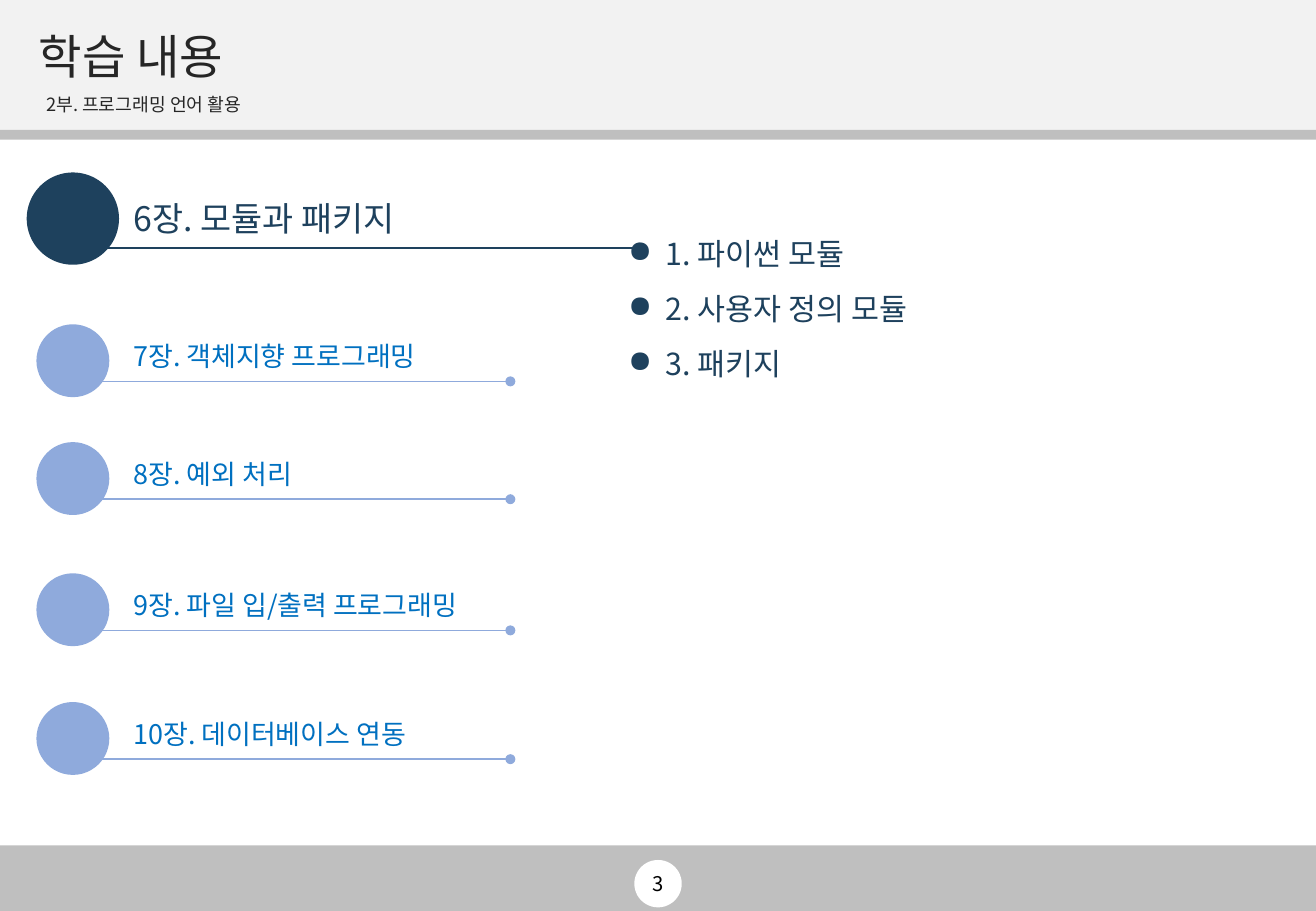
from pptx import Presentation
from pptx import util as u
from pptx.dml.color import RGBColor
from pptx.enum import shapes, text
from pptx.oxml.ns import qn
from lxml import etree

COLORS = {
    "band": "BFBFBF", "header": "F2F2F2", "white": "FFFFFF",
    "navy": "1E415D", "soft_blue": "8FAADC", "link_blue": "0070C0",
    "title": "262626", "black": "000000",
}
WIDTH, HEIGHT = 10.83, 7.5


class SlideBuilder:
    font = "Noto Sans CJK KR"
    insets = (0.1, 0.05, 0.1, 0.05)

    def __init__(self, slide):
        self.slide = slide

    def shape(self, kind, left, top, width, height, color):
        shape = self.slide.shapes.add_shape(
            kind, u.Inches(left), u.Inches(top), u.Inches(width), u.Inches(height))
        shape.shadow.inherit = False
        shape.fill.solid()
        shape.fill.fore_color.rgb = RGBColor.from_string(COLORS[color])
        shape.line.fill.background()

    def band(self, top, height, color):
        self.shape(shapes.MSO_SHAPE.RECTANGLE, 0, top, WIDTH, height, color)

    def circle(self, left, top, size, color):
        self.shape(shapes.MSO_SHAPE.OVAL, left, top, size, size, color)

    def dotted_end_line(self, left, right, y, color):
        line = self.slide.shapes.add_connector(
            shapes.MSO_CONNECTOR.STRAIGHT,
            u.Inches(left), u.Inches(y), u.Inches(right), u.Inches(y))
        line.line.color.rgb = RGBColor.from_string(COLORS[color])
        line.line.width = u.Pt(1)
        outline = line.line._get_or_add_ln()
        etree.SubElement(outline, qn("a:tailEnd"), type="oval")
        etree.SubElement(line._element.spPr, qn("a:effectLst"))

    def text(self, left, top, width, height, lines, size, color, middle=False,
             centered=False, spacing=None, before=None, insets=insets, bullet=None):
        box = self.slide.shapes.add_textbox(
            u.Inches(left), u.Inches(top), u.Inches(width), u.Inches(height))
        frame = box.text_frame
        frame.word_wrap = True
        (frame.margin_left, frame.margin_top,
         frame.margin_right, frame.margin_bottom) = map(u.Inches, insets)
        if middle:
            frame.vertical_anchor = text.MSO_ANCHOR.MIDDLE
        else:
            frame.auto_size = text.MSO_AUTO_SIZE.SHAPE_TO_FIT_TEXT
        frame.text = "\n".join(lines)
        for paragraph in frame.paragraphs:
            if centered:
                paragraph.alignment = text.PP_ALIGN.CENTER
            if spacing:
                paragraph.line_spacing = spacing
            if before:
                paragraph.space_before = u.Pt(before)
            if bullet:
                self.bullet(paragraph, bullet)
            for run in paragraph.runs:
                run.font.size = u.Pt(size)
                run.font.name = self.font
                run.font.color.rgb = RGBColor.from_string(COLORS[color])
                etree.SubElement(run.font._element, qn("a:ea"), typeface=self.font)

    def bullet(self, paragraph, character, indent=0.31):
        properties = paragraph._p.get_or_add_pPr()
        properties.set("marL", str(u.Inches(indent)))
        properties.set("indent", str(u.Inches(-indent)))
        etree.SubElement(properties, qn("a:buChar"), char=character)


def main():
    presentation = Presentation()
    presentation.slide_width = u.Inches(WIDTH)
    presentation.slide_height = u.Inches(HEIGHT)
    builder = SlideBuilder(presentation.slides.add_slide(presentation.slide_layouts[6]))

    # Footer with page number
    builder.band(7.04, 0.46, "band")
    builder.band(6.96, 0.08, "band")
    builder.circle(5.22, 7.08, 0.39, "white")
    builder.text(4.2, 7.08, 2.44, 0.39, ["3"], 12, "black", middle=True, centered=True)

    # Header
    builder.band(0, 1.07, "header")
    builder.band(1.07, 0.08, "band")
    builder.text(0.22, 0.21, 10.39, 0.55, ["학습 내용"], 28, "title",
                 middle=True, spacing=0.9)
    builder.text(0.3, 0.76, 10.32, 0.24, ["2부. 프로그래밍 언어 활용"], 10.8, "title",
                 middle=True, spacing=0.7, before=8.1, insets=(0.08, 0.05, 0.1, 0.05))

    # Current chapter
    builder.circle(0.22, 1.42, 0.76, "navy")
    builder.dotted_end_line(0.79, 5.26, 2.04, "navy")
    builder.text(1, 1.58, 4.62, 0.44, ["6장. 모듈과 패키지"], 20, "navy")

    # Following chapters
    chapters = [
        (2.67, "7장. 객체지향 프로그래밍"),
        (3.64, "8장. 예외 처리"),
        (4.72, "9장. 파일 입/출력 프로그래밍"),
        (5.78, "10장. 데이터베이스 연동"),
    ]
    for top, chapter in chapters:
        builder.circle(0.3, top, 0.6, "soft_blue")
        builder.dotted_end_line(0.79, 4.2, top + 0.47, "soft_blue")
        builder.text(1, top + 0.08, 3.55, 0.37, [chapter], 16, "link_blue")

    # Sections of the current chapter
    builder.text(5.07, 1.74, 5.38, 1.46,
                 ["1. 파이썬 모듈", "2. 사용자 정의 모듈", "3. 패키지"],
                 18, "navy", spacing=1.5, bullet="●")

    presentation.save("out.pptx")


if __name__ == "__main__":
    main()
